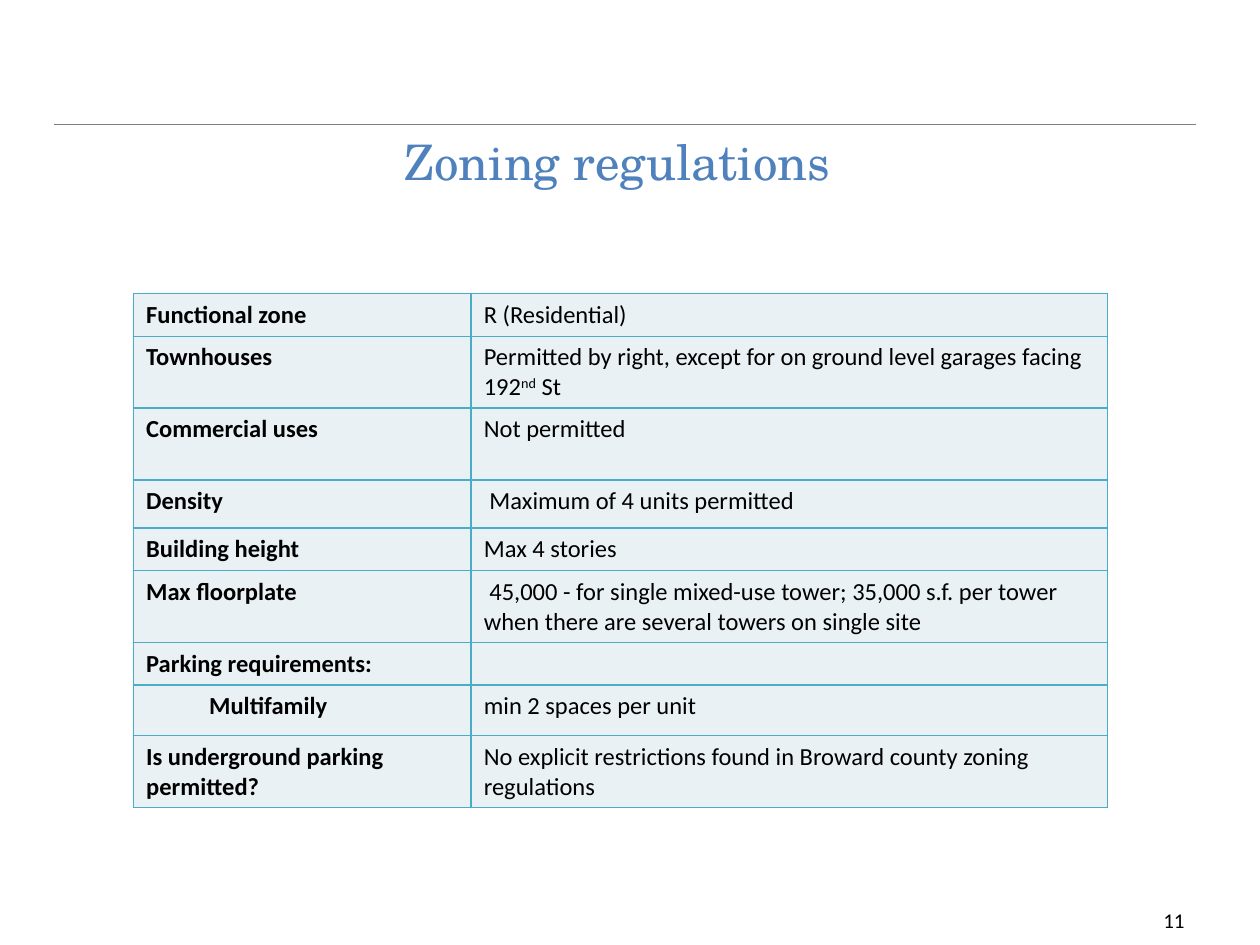
from lxml import etree
from pptx import Presentation
from pptx.dml.color import RGBColor
from pptx.enum.shapes import MSO_CONNECTOR
from pptx.enum.text import MSO_ANCHOR, PP_ALIGN
from pptx.oxml.ns import qn
from pptx.util import Inches, Pt

STRAIGHT = MSO_CONNECTOR.STRAIGHT
TOP, BOTTOM = MSO_ANCHOR.TOP, MSO_ANCHOR.BOTTOM
LEFT, RIGHT = PP_ALIGN.LEFT, PP_ALIGN.RIGHT

BLUE = RGBColor(0x4F, 0x81, 0xBD)
GRAY = RGBColor(0x80, 0x80, 0x80)
BLACK = RGBColor(0, 0, 0)
PALE = RGBColor(0xE9, 0xF1, 0xF5)
TEAL = RGBColor(0x4B, 0xAC, 0xC6)
TITLE_FONT, BODY_FONT = "TeX Gyre Schola", "Calibri"

# Content: label, value, row height in inches; "^" marks a superscript span
TITLE = "Zoning regulations"
PAGE_NUMBER = "11"
RULES = [
    ("Functional zone", ["R (Residential)"], 0.34),
    ("Townhouses", ["Permitted by right, except for on ground level garages facing 192",
                    "^nd", " St"], 0.57),
    ("Commercial uses", ["Not permitted"], 0.57),
    ("Density", [" Maximum of 4 units permitted"], 0.38),
    ("Building height", ["Max 4 stories"], 0.34),
    ("Max floorplate", [" 45,000 - for single mixed-use tower; 35,000 s.f. per tower "
                        "when there are several towers on single site"], 0.57),
    ("Parking requirements:", [], 0.34),
    ("Multifamily", ["min 2 spaces per unit"], 0.4),
    ("Is underground parking permitted?",
     ["No explicit restrictions found in Broward county zoning regulations"], 0.57),
]
INDENTED = {"Multifamily"}
COLUMNS = (2.68, 5.05)
TABLE_LEFT, TABLE_TOP = 1.06, 2.33


def add_span(para, text, size, color=BLACK, name=BODY_FONT, bold=False):
    span = para.add_run()
    span.text = text.removeprefix("^")
    font = span.font
    font.size, font.name, font.bold = Pt(size), name, bold
    font.color.rgb = color
    if text.startswith("^"):
        span._r.get_or_add_rPr().set("baseline", "30000")


def style_cell(cell):
    properties = cell._tc.get_or_add_tcPr()
    for side in ("a:lnL", "a:lnR", "a:lnT", "a:lnB"):
        border = etree.SubElement(properties, qn(side), w=str(Pt(1)))
        solid = etree.SubElement(border, qn("a:solidFill"))
        etree.SubElement(solid, qn("a:srgbClr"), val=str(TEAL))
    cell.fill.solid()
    cell.fill.fore_color.rgb = PALE


def fill_cell(cell, spans, bold):
    style_cell(cell)
    para = cell.text_frame.paragraphs[0]
    for text in spans:
        add_span(para, text, 14, bold=bold)
        if text in INDENTED:
            para._p.get_or_add_pPr().set("marL", str(Inches(0.5)))
    if not spans:
        etree.SubElement(para._p, qn("a:endParaRPr"), sz="1400")


def main():
    deck = Presentation()
    deck.slide_width, deck.slide_height = Inches(10), Inches(7.5)
    page = deck.slides.add_slide(deck.slide_layouts[5])

    # Rule above the title
    rule = page.shapes.add_connector(STRAIGHT, Inches(0.43), Inches(0.99),
                                     Inches(9.49), Inches(0.99))
    rule.line.color.rgb = GRAY
    rule.line.width = Pt(0.75)
    etree.SubElement(rule._element.spPr, qn("a:effectLst"))

    # Title
    title = page.shapes.title
    title.left, title.top = Inches(3.11), Inches(0.99)
    title.width, title.height = Inches(9), Inches(0.69)
    title.text_frame.vertical_anchor = TOP
    para = title.text_frame.paragraphs[0]
    para.alignment = LEFT
    add_span(para, TITLE, 28, BLUE, TITLE_FONT)

    # Page number
    box = page.shapes.add_textbox(Inches(7.17), Inches(7.05), Inches(2.33), Inches(0.4))
    box.text_frame.word_wrap = True
    box.text_frame.vertical_anchor = BOTTOM
    para = box.text_frame.paragraphs[0]
    para.alignment = RIGHT
    add_span(para, PAGE_NUMBER, 12)

    # Table of regulations
    height = sum(row_height for _, _, row_height in RULES)
    table = page.shapes.add_table(len(RULES), len(COLUMNS), Inches(TABLE_LEFT),
                                  Inches(TABLE_TOP), Inches(sum(COLUMNS)),
                                  Inches(height)).table
    table.first_row = table.horz_banding = False
    for column, width in zip(table.columns, COLUMNS):
        column.width = Inches(width)
    for row, (label, value, row_height) in zip(table.rows, RULES):
        row.height = Inches(row_height)
        fill_cell(row.cells[0], [label], True)
        fill_cell(row.cells[1], value, False)

    deck.save("out.pptx")


if __name__ == "__main__":
    main()
